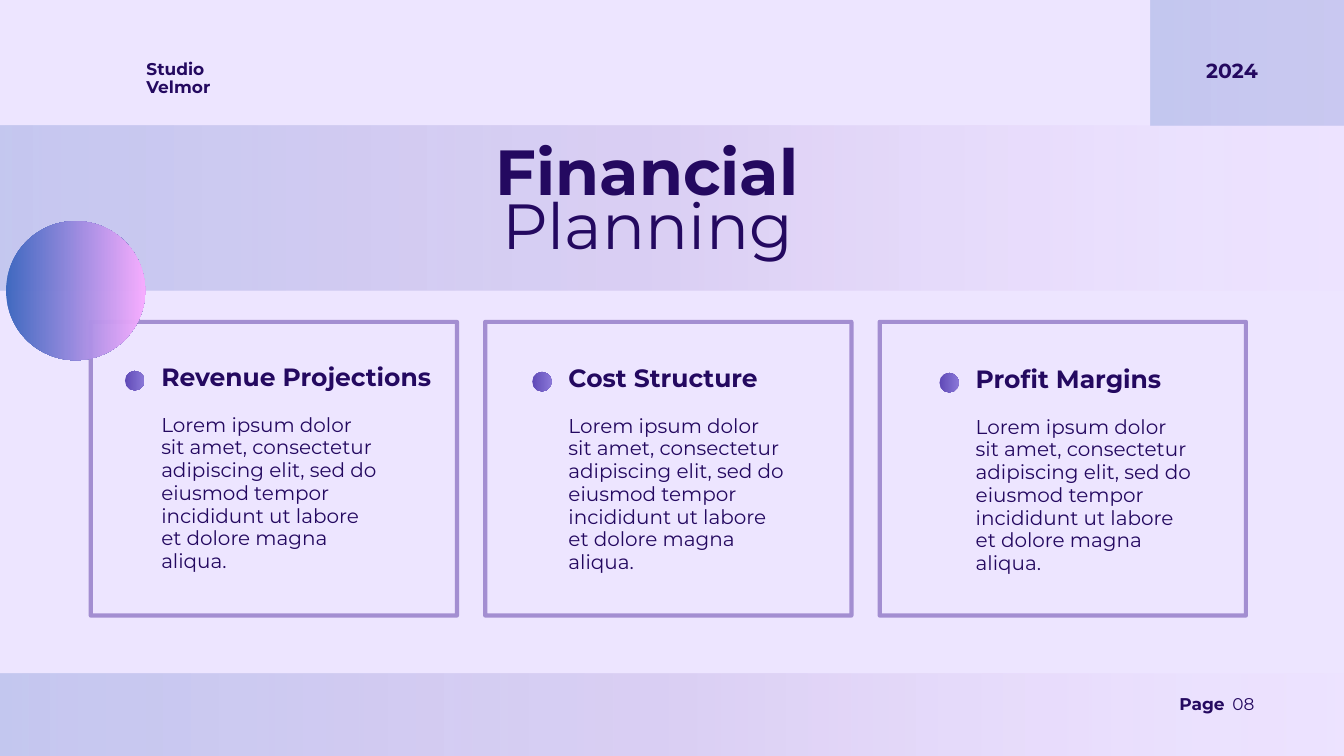
from dataclasses import dataclass
from typing import NamedTuple

from lxml import etree
from pptx import Presentation
from pptx.dml.color import RGBColor
from pptx.enum.shapes import MSO_SHAPE
from pptx.enum.text import MSO_AUTO_SIZE, PP_ALIGN
from pptx.oxml.ns import qn
from pptx.util import Inches, Pt

RECTANGLE = MSO_SHAPE.RECTANGLE
OVAL = MSO_SHAPE.OVAL
LEFT = PP_ALIGN.LEFT
CENTER = PP_ALIGN.CENTER
GROW = MSO_AUTO_SIZE.SHAPE_TO_FIT_TEXT


class Stop(NamedTuple):
    position: int
    color: str
    opacity: int


class Box(NamedTuple):
    left: float
    top: float
    width: float
    height: float


@dataclass(frozen=True)
class Theme:
    font: str = "Montserrat"
    background: str = "EDE5FF"
    ink: str = "240960"
    frame: str = "6B4CAF"
    frame_opacity: int = 56
    frame_width: float = 4.5
    title_size: float = 68.3
    heading_size: float = 26.8
    body_size: float = 21.4
    year_size: float = 21.8
    label_size: float = 18.2
    band: tuple[Stop, ...] = (
        Stop(0, "3C67BF", 23), Stop(50, "6B4CAF", 13), Stop(100, "F7ACFF", 0))
    dot: tuple[Stop, ...] = (Stop(0, "5B45B5", 96), Stop(100, "8875D7", 96))
    orb: tuple[Stop, ...] = (Stop(0, "3C67BF", 96), Stop(100, "F7ACFF", 96))


@dataclass(frozen=True)
class Card:
    heading: str
    heading_width: float


THEME = Theme()
BODY = ("Lorem ipsum dolor sit amet, consectetur adipiscing elit, sed do "
        "eiusmod tempor incididunt ut labore et dolore magna aliqua.")
CARDS = (
    Card("Revenue Projections", 4.4),
    Card("Cost Structure", 3.14),
    Card("Profit Margins", 3.14),
)
FRAME_PITCH = 5.87
CONTENT_PITCH = 6.06
CONTENT_DROP = 0.015
BAND_WIDTH, BAND_HEIGHT = 21.35, 2.45


def lengths(box: Box) -> list[int]:
    return [Inches(value) for value in box]


def set_opacity(color_element, opacity: int) -> None:
    etree.SubElement(color_element, qn("a:alpha")).set("val", str(opacity * 1000))


def add_gradient_shape(slide, kind, box: Box, stops: tuple[Stop, ...]) -> None:
    shape = slide.shapes.add_shape(kind, *lengths(box))
    shape.shadow.inherit = False
    shape.line.fill.background()
    shape.fill.gradient()
    shape.fill.gradient_angle = 0
    stop_list = shape._element.spPr.find(".//" + qn("a:gsLst"))
    for old_stop in list(stop_list):
        stop_list.remove(old_stop)
    for stop in stops:
        element = etree.SubElement(stop_list, qn("a:gs"))
        element.set("pos", str(stop.position * 1000))
        color = etree.SubElement(element, qn("a:srgbClr"))
        color.set("val", stop.color)
        set_opacity(color, stop.opacity)


def add_frame(slide, box: Box) -> None:
    shape = slide.shapes.add_shape(RECTANGLE, *lengths(box))
    shape.shadow.inherit = False
    shape.fill.background()
    shape.line.color.rgb = RGBColor.from_string(THEME.frame)
    shape.line.width = Pt(THEME.frame_width)
    set_opacity(shape._element.spPr.find(".//" + qn("a:srgbClr")), THEME.frame_opacity)


def add_text(slide, text: str, box: Box, *, size: float, spacing: float,
             bold: bool = False, align=LEFT) -> None:
    frame = slide.shapes.add_textbox(*lengths(box)).text_frame
    frame.word_wrap = True
    frame.auto_size = GROW
    frame.margin_left = frame.margin_right = 0
    frame.margin_top = frame.margin_bottom = 0
    paragraph = frame.paragraphs[0]
    paragraph.alignment = align
    paragraph.line_spacing = Pt(spacing)
    run = paragraph.add_run()
    run.text = text
    run.font.name = THEME.font
    run.font.size = Pt(size)
    run.font.bold = bold
    run.font.color.rgb = RGBColor.from_string(THEME.ink)


def add_card_content(slide, card: Card, index: int) -> None:
    left = 2.4 + index * CONTENT_PITCH
    drop = index * CONTENT_DROP
    add_text(slide, BODY, Box(left, 6.15 + drop, 3.23, 2.34),
             size=THEME.body_size, spacing=24.4)
    add_gradient_shape(slide, OVAL, Box(left - 0.54, 5.52 + drop, 0.29, 0.29), THEME.dot)
    add_text(slide, card.heading, Box(left, 5.53 + drop, card.heading_width, 0.34),
             size=THEME.heading_size, spacing=21.4, bold=True)


def main() -> None:
    presentation = Presentation()
    presentation.slide_width = Inches(20)
    presentation.slide_height = Inches(11.25)
    slide = presentation.slides.add_slide(presentation.slide_layouts[6])
    slide.background.fill.solid()
    slide.background.fill.fore_color.rgb = RGBColor.from_string(THEME.background)

    for left, top in ((-0.41, 1.87), (-0.15, 10.02), (17.12, -0.58)):
        add_gradient_shape(slide, RECTANGLE, Box(left, top, BAND_WIDTH, BAND_HEIGHT),
                           THEME.band)

    add_text(slide, "Studio Velmor", Box(2.18, 0.92, 1.31, 0.52),
             size=THEME.label_size, spacing=18.6, bold=True)
    add_text(slide, "2024", Box(17.95, 0.92, 0.93, 0.31),
             size=THEME.year_size, spacing=22.3, bold=True)
    add_text(slide, "Financial", Box(5.63, 2.34, 8, 0.84),
             size=THEME.title_size, spacing=54.7, bold=True, align=CENTER)
    add_text(slide, "Planning", Box(7.1, 3.14, 5.07, 0.84),
             size=THEME.title_size, spacing=54.7, align=CENTER)
    add_text(slide, "Page", Box(17.55, 10.36, 0.79, 0.27),
             size=THEME.label_size, spacing=18.6, bold=True)
    add_text(slide, "08", Box(18.34, 10.36, 0.39, 0.26),
             size=THEME.label_size, spacing=18.6)

    for index in range(len(CARDS)):
        add_frame(slide, Box(1.35 + index * FRAME_PITCH, 4.79, 5.45, 4.37))
    for index, card in enumerate(CARDS):
        add_card_content(slide, card, index)

    add_gradient_shape(slide, OVAL, Box(0.09, 3.29, 2.07, 2.07), THEME.orb)
    presentation.save("out.pptx")


if __name__ == "__main__":
    main()
